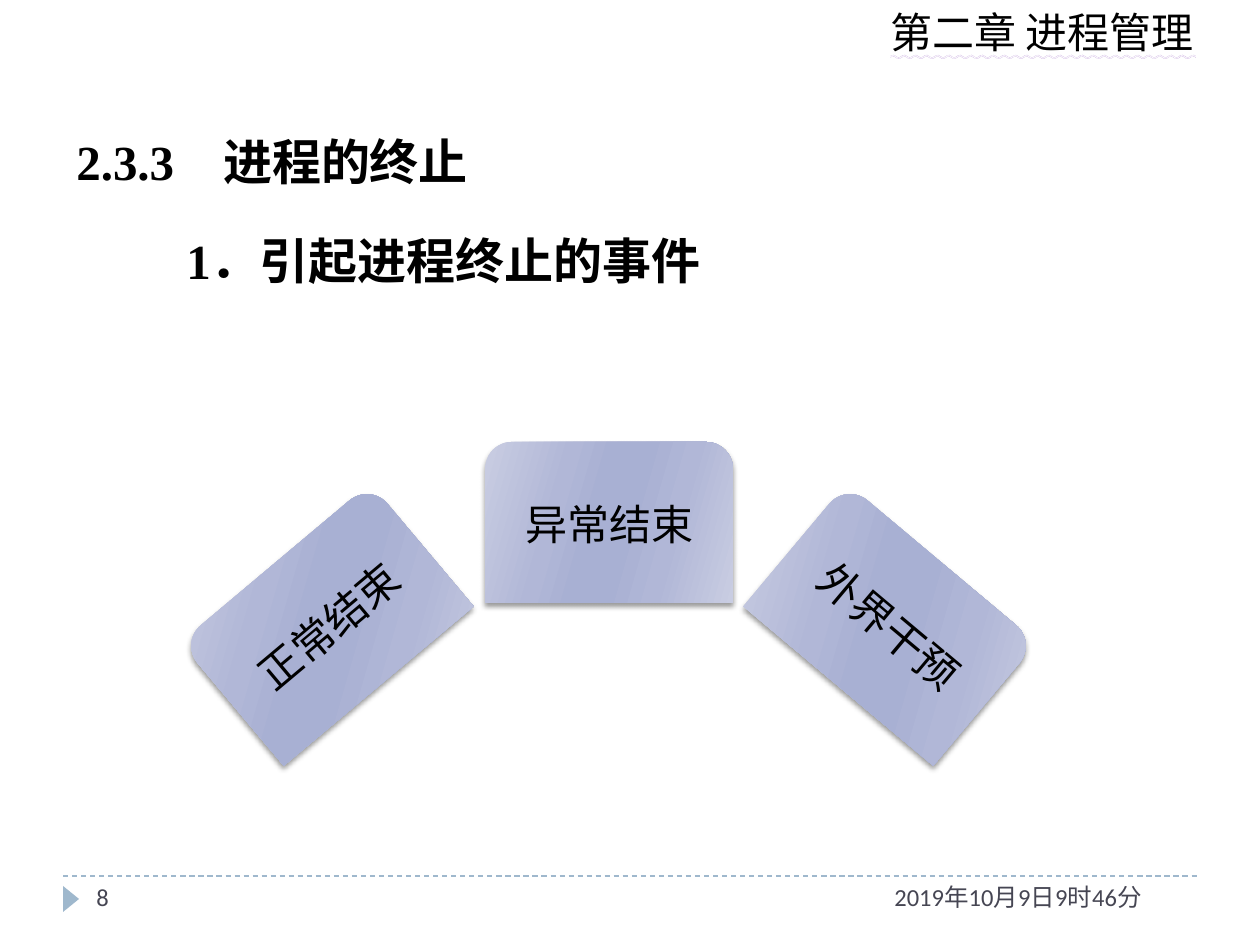
from lxml import etree
from pptx import Presentation
from pptx.dml.color import RGBColor
from pptx.enum.dml import MSO_LINE
from pptx.enum.shapes import MSO_CONNECTOR, MSO_SHAPE as Shape
from pptx.enum.text import MSO_ANCHOR as Anchor, MSO_UNDERLINE, PP_ALIGN as Align
from pptx.oxml import parse_xml
from pptx.oxml.ns import nsdecls, qn
from pptx.util import Pt

SCALE = 914400 / 126
NS = nsdecls("a")
COLORS = {
    "ink": "000000", "foot": "464653", "mark": "9FB8CD", "wave": "B58BD3",
    "edge": "C9CDE2", "mid": "B1B7D7", "core": "A8B0D3",
}
STOPS = [(0, "edge"), (30, "mid"), (45, "core"),
         (55, "core"), (73, "mid"), (100, "edge")]
# label, card left and top, text left and top, rotation
CARDS = [
    ("正常结束", 203, 544, 214, 551, 320),
    ("异常结束", 485, 442, 493, 450, 0),
    ("外界干预", 766, 544, 771, 551, 40),
]


def px(num):
    return round(num * SCALE)


def color(name):
    return RGBColor.from_string(COLORS[name])


def style(para, size, name="Calibri", ink="ink", bold=False):
    font = para.font
    font.size, font.name, font.bold = Pt(size), name, bold
    font.color.rgb = color(ink)


def add_text(slide, box, lines, size, wrap=True, **look):
    shape = slide.shapes.add_textbox(*map(px, box))
    frame = shape.text_frame
    frame.word_wrap = wrap
    frame.text = "\n".join(lines)
    for para in frame.paragraphs:
        style(para, size, **look)
    return shape


def add_head(slide):
    """Chapter name with a wavy coloured underline."""
    shape = add_text(slide, (878, 0, 335, 63), ["第二章 进程管理"], 24, wrap=False)
    font = shape.text_frame.paragraphs[0].runs[0].font
    font.underline = MSO_UNDERLINE.WAVY_DOUBLE_LINE
    props = shape.text_frame.paragraphs[0].runs[0]._r.get_or_add_rPr()
    props.append(parse_xml(
        f'<a:uFill {NS}><a:solidFill><a:srgbClr val="{COLORS["wave"]}"/>'
        '</a:solidFill></a:uFill>'))


def add_body(slide):
    lines = ["2.3.3\u3000进程的终止".replace("\u3000", "　"), "1．引起进程终止的事件"]
    shape = add_text(slide, (64, 96, 1131, 228), lines, 28,
                     name="Times New Roman", bold=True)
    first, second = shape.text_frame.paragraphs
    for para, left, hang in ((first, 38, -38), (second, 110, 0)):
        para.line_spacing = 1.5
        props = para._p.get_or_add_pPr()
        props.set("marL", str(px(left)))
        props.set("indent", str(px(hang)))
    second.space_before = Pt(6)


def add_card(slide, label, left, top, text_left, text_top, turn):
    card = slide.shapes.add_shape(Shape.ROUND_2_SAME_RECTANGLE,
                                  *map(px, (left, top, 248, 161)))
    card.rotation = turn
    card.line.fill.background()
    stops = "".join(f'<a:gs pos="{pos * 1000}"><a:srgbClr val="{COLORS[name]}"/></a:gs>'
                    for pos, name in STOPS)
    props = card._element.spPr
    props.find(qn("a:prstGeom")).addnext(parse_xml(
        f'<a:gradFill {NS} rotWithShape="0"><a:gsLst>{stops}</a:gsLst>'
        '<a:lin ang="960000" scaled="0"/></a:gradFill>'))
    props.append(parse_xml(
        f'<a:effectLst {NS}><a:outerShdw blurRad="{Pt(3)}" dist="{Pt(2)}" '
        'dir="5400000" rotWithShape="0"><a:srgbClr val="000000">'
        '<a:alpha val="40000"/></a:srgbClr></a:outerShdw></a:effectLst>'))

    text = add_text(slide, (text_left, text_top, 233, 154), [label], 24)
    text.rotation = turn
    frame = text.text_frame
    frame.vertical_anchor = Anchor.MIDDLE
    frame.margin_top = frame.margin_bottom = px(4)
    frame.paragraphs[0].alignment = Align.CENTER
    frame.paragraphs[0].line_spacing = 0.9


def add_foot(slide):
    rule = slide.shapes.add_connector(MSO_CONNECTOR.STRAIGHT,
                                      *map(px, (63, 876, 1197, 876)))
    rule.line.color.rgb = color("mark")
    rule.line.width = Pt(0.75)
    rule.line.dash_style = MSO_LINE.DASH
    etree.SubElement(rule._element.spPr, qn("a:effectLst"))

    mark = slide.shapes.add_shape(Shape.ISOSCELES_TRIANGLE,
                                  *map(px, (58, 891, 26, 16)))
    mark.rotation = 90
    mark.shadow.inherit = False
    mark.fill.solid()
    mark.fill.fore_color.rgb = color("mark")
    mark.line.fill.background()

    add_text(slide, (882, 876, 315, 50), ["2019年10月9日9时46分"], 14, ink="foot")
    add_text(slide, (84, 876, 273, 50), ["8"], 14, ink="foot")


def main():
    deck = Presentation()
    deck.slide_width, deck.slide_height = px(1260), px(945)
    slide = deck.slides.add_slide(deck.slide_layouts[6])
    add_foot(slide)
    add_head(slide)
    add_body(slide)
    for card in CARDS:
        add_card(slide, *card)
    deck.save("out.pptx")


if __name__ == "__main__":
    main()
